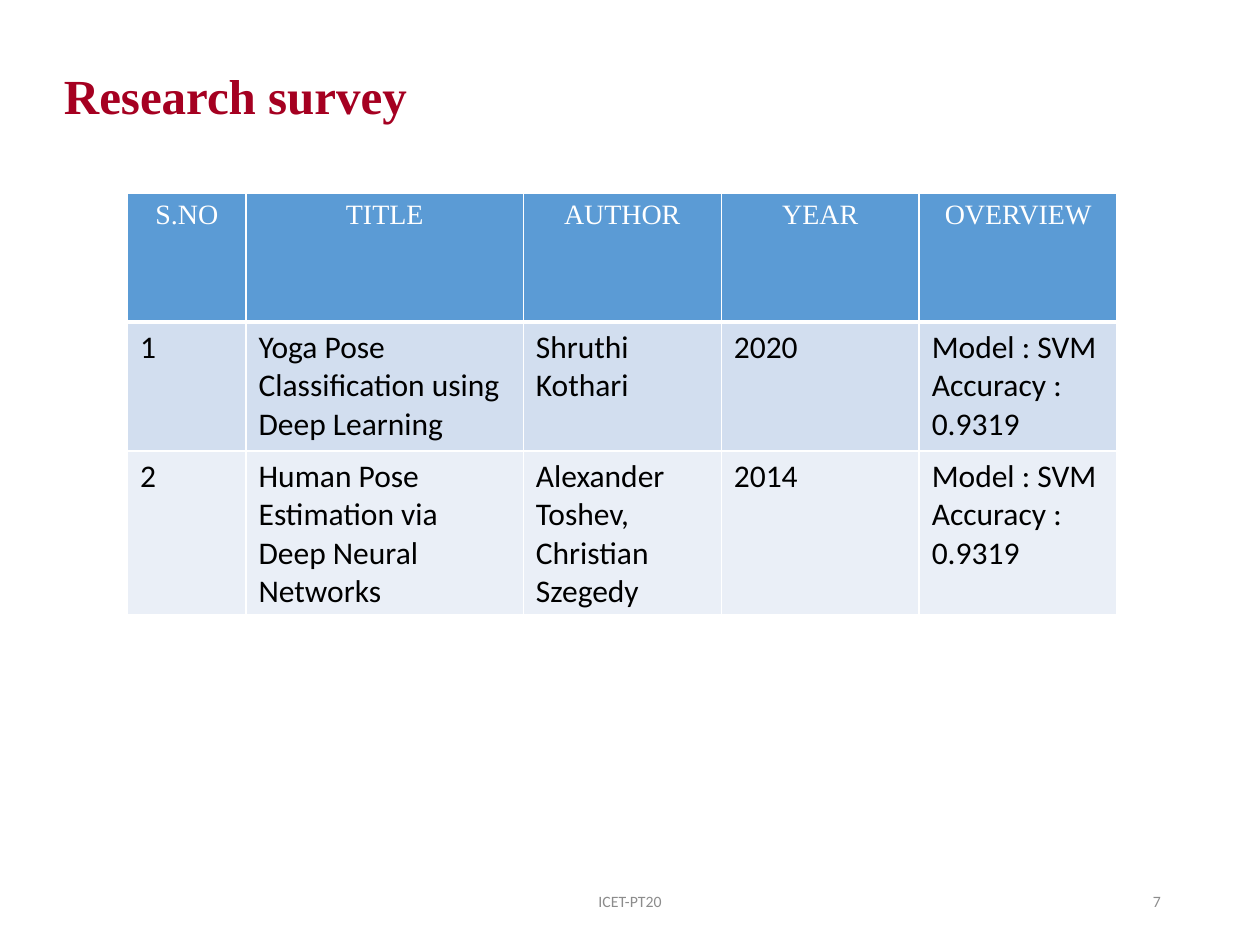
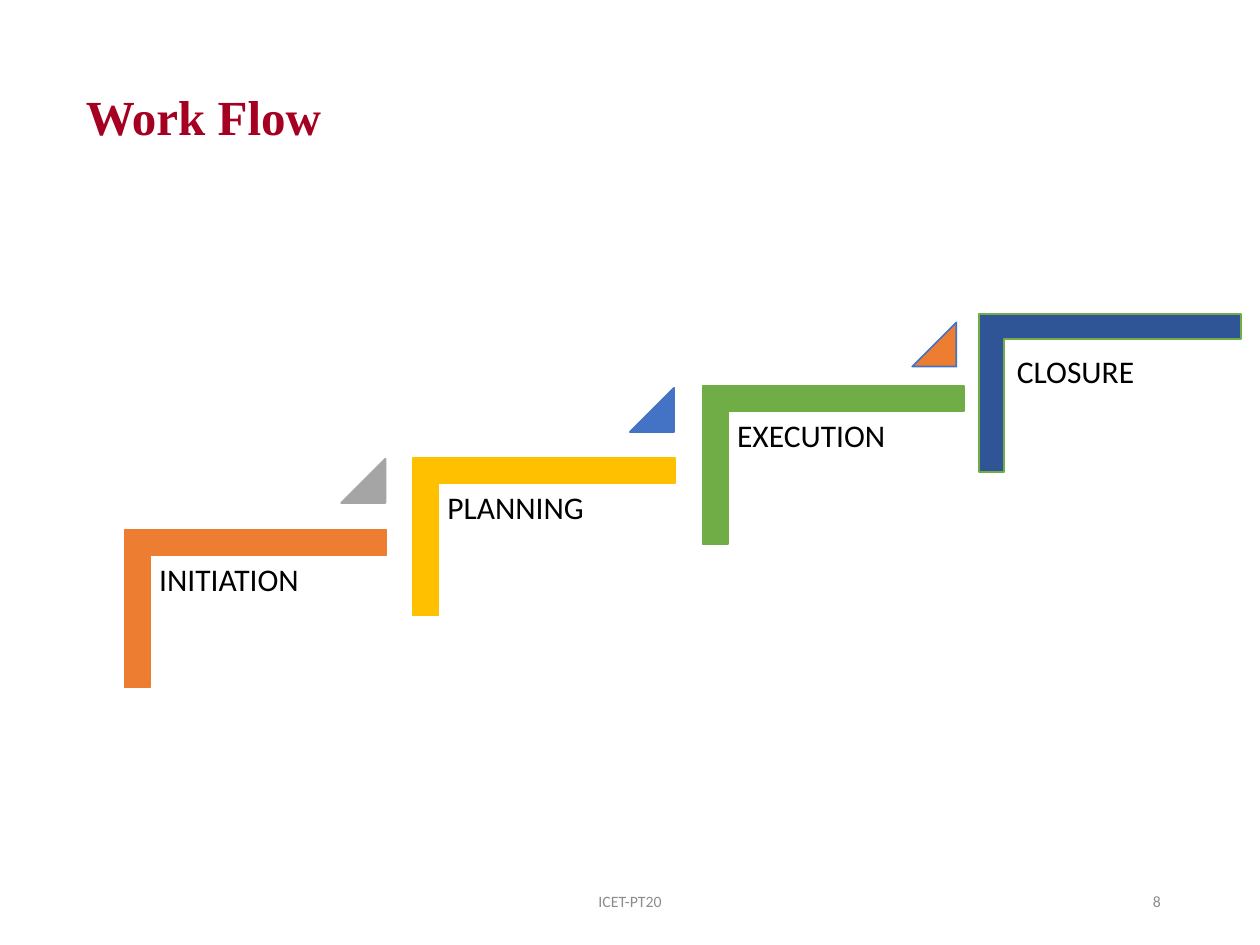
"""Build two slides: a research survey table and a stepped work flow."""
from lxml import etree
from pptx import Presentation
from pptx.dml.color import RGBColor
from pptx.enum.shapes import MSO_SHAPE
from pptx.enum.text import MSO_ANCHOR, PP_ALIGN
from pptx.oxml import parse_xml
from pptx.oxml.ns import nsdecls
from pptx.util import Cm, Pt

LEFT, CENTER, RIGHT = PP_ALIGN.LEFT, PP_ALIGN.CENTER, PP_ALIGN.RIGHT
TOP, MIDDLE = MSO_ANCHOR.TOP, MSO_ANCHOR.MIDDLE
CORNER, TRIANGLE = MSO_SHAPE.CORNER, MSO_SHAPE.ISOSCELES_TRIANGLE
BODY, SERIF = "Calibri", "Times New Roman"
COLORS = {
    "title": "A50021", "footer": "8C8C8C", "text": "000000", "white": "FFFFFF",
    "header": "5B9BD5", "odd": "D2DEEF", "even": "EAEFF7",
    "orange": "ED7D31", "gray": "A5A5A5", "gold": "FFC000",
    "blue": "4472C4", "green": "70AD47", "navy": "2F5597",
}


def add_text(s, text, box, size, color, font=BODY, align=LEFT, anchor=TOP, bold=False, inset=None):
    tf = s.shapes.add_textbox(*map(Cm, box)).text_frame
    tf.word_wrap = True
    tf.vertical_anchor = anchor
    if inset:
        tf.margin_left = tf.margin_right = tf.margin_top = tf.margin_bottom = Cm(inset)
    p = tf.paragraphs[0]
    p.text = text
    p.alignment = align
    p.font.size, p.font.name, p.font.bold = Pt(size), font, bold
    p.font.color.rgb = RGBColor.from_string(COLORS[color])
    return p


def add_figure(s, kind, box, fill, line, adjustments, rotation=0):
    sp = s.shapes.add_shape(kind, *map(Cm, box))
    sp.shadow.inherit = False
    sp.rotation = rotation
    sp.fill.solid()
    sp.fill.fore_color.rgb = RGBColor.from_string(COLORS[fill])
    sp.line.color.rgb = RGBColor.from_string(COLORS[line])
    sp.line.width = Pt(1)
    for i, value in enumerate(adjustments):
        sp.adjustments[i] = value


prs = Presentation()
prs.slide_width, prs.slide_height = Cm(25.4), Cm(19.05)

slides = []
for title, x, y, number in [("Research survey", 1.04, 1.07, "7"), ("Work Flow", 1.48, 1.5, "8")]:
    s = prs.slides.add_slide(prs.slide_layouts[6])
    p = add_text(s, title, (x, y, 16.9, 1.6), 28, "title", SERIF, anchor=MIDDLE, bold=True)
    p.line_spacing, p.space_after = 1.07, Pt(4.5)
    add_text(s, "ICET-PT20", (8.41, 17.65, 8.58, 1.02), 9, "footer", align=CENTER, anchor=MIDDLE)
    add_text(s, number, (17.93, 17.65, 5.72, 1.02), 9, "footer", align=RIGHT, anchor=MIDDLE)
    slides.append(s)
survey, flow = slides

rows = [
    ["S.NO", "TITLE", "AUTHOR", "YEAR", "OVERVIEW"],
    ["1", "Yoga Pose Classification using Deep Learning", "Shruthi Kothari", "2020",
     "Model : SVM\nAccuracy : 0.9319"],
    ["2", "Human Pose Estimation via Deep Neural Networks",
     "Alexander Toshev,\nChristian Szegedy", "2014", "Model : SVM\nAccuracy : 0.9319"],
]
widths = [2.39, 5.59, 3.99, 3.99, 3.99]
table = survey.shapes.add_table(
    len(rows), len(widths), Cm(2.57), Cm(3.89), Cm(sum(widths)), Cm(7.8)).table
for column, width in zip(table.columns, widths):
    column.width = Cm(width)
for r, texts in enumerate(rows):
    table.rows[r].height = Cm(2.6)
    header = r == 0
    for c, text in enumerate(texts):
        cell = table.cell(r, c)
        tcPr = cell._tc.get_or_add_tcPr()
        for side in "LRTB":
            heavy = (header and side == "B") or (r == 1 and side == "T")
            ln = parse_xml(f'<a:ln{side} {nsdecls("a")} w="{Pt(3 if heavy else 1)}"/>')
            fill = etree.SubElement(ln, tcPr.tag.replace("tcPr", "solidFill"))
            etree.SubElement(fill, tcPr.tag.replace("tcPr", "srgbClr"), val=COLORS["white"])
            tcPr.append(ln)
        cell.fill.solid()
        cell.fill.fore_color.rgb = RGBColor.from_string(COLORS[("header", "odd", "even")[r]])
        cell.text = text
        for p in cell.text_frame.paragraphs:
            p.alignment = CENTER if header else LEFT
            p.font.size, p.font.name = Pt(16 if header else 18), SERIF if header else BODY
            p.font.bold = False
            p.font.color.rgb = RGBColor.from_string(COLORS["white" if header else "text"])

steps = [
    ("INITIATION", 3.56, "orange", "orange", 0.9, 0.18),
    ("PLANNING", 9.37, "gold", "gold", 0.9, 0.18),
    ("EXECUTION", 15.21, "green", "green", 0.9, 0.18),
    ("CLOSURE", 20.78, "navy", "green", 1.0, 0.25),
]
for i, (name, x, fill, line, spacing, inset) in enumerate(steps):
    y = 9.63 - 1.45 * i
    add_figure(flow, CORNER, (x, y, 3.18, 5.28), fill, line, (0.16, 0.16), 90)
    p = add_text(flow, name, (x - 0.53, y + 1.57, 4.78, 1.02), 18, "text", inset=inset)
    p.line_spacing = spacing

for x, y, fill, line in [
    (6.88, 9.25, "gray", "gray"),
    (12.7, 7.82, "blue", "blue"),
    (18.39, 6.5, "orange", "blue"),
]:
    add_figure(flow, TRIANGLE, (x, y, 0.89, 0.89), fill, line, (1,))

prs.save("out.pptx")
